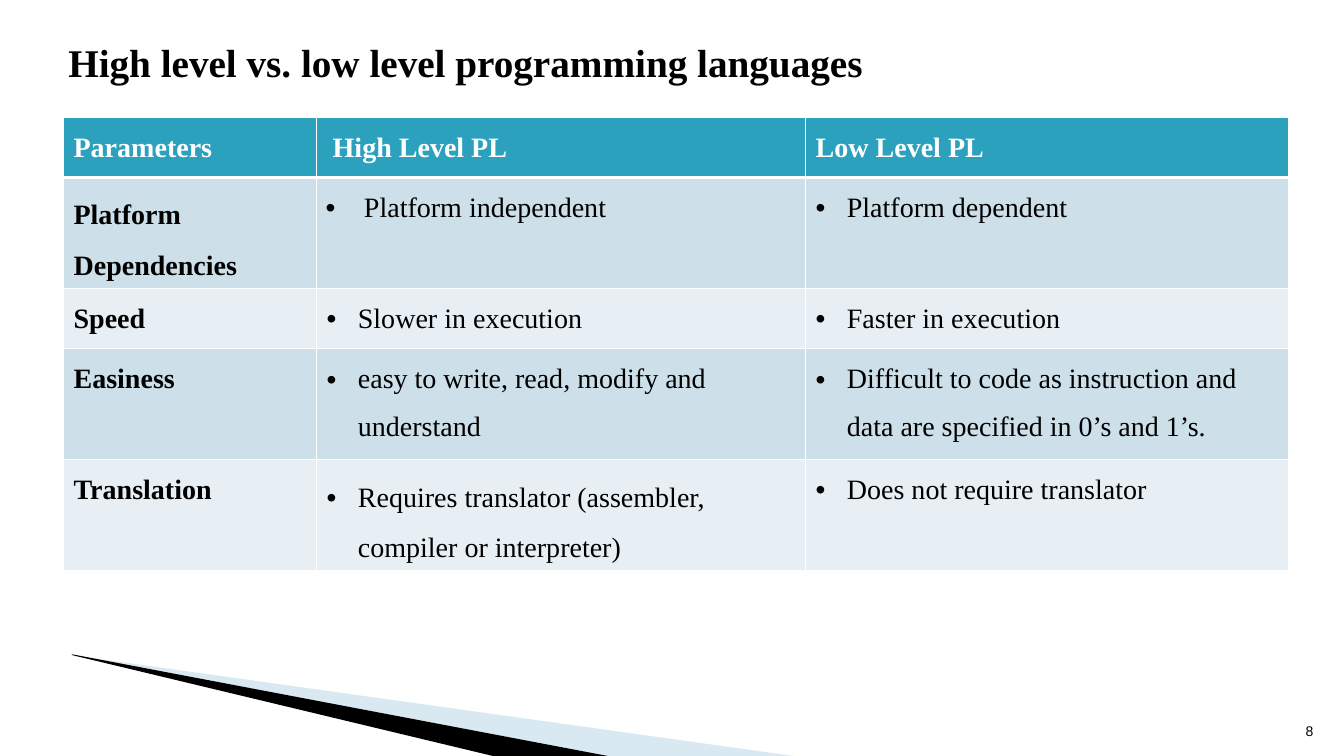
from lxml import etree
from pptx import Presentation
from pptx.dml.color import RGBColor
from pptx.enum.text import MSO_AUTO_SIZE
from pptx.oxml.ns import qn
from pptx.util import Inches, Pt

FIT_SHAPE = MSO_AUTO_SIZE.SHAPE_TO_FIT_TEXT
SERIF, SANS = "Times New Roman", "Arial"
COLORS = {
    "white": "FFFFFF", "black": "000000", "header": "2CA1BE",
    "band_dark": "CDDFE8", "band_light": "E8EFF4", "wedge": "9FCADC",
}
COLUMNS = [2.51, 4.85, 4.79]
ROW_HEIGHTS = [0.6, 1.1, 0.6, 1.1, 1.1]
COMPARISON = [
    [["Parameters"], ["High Level PL"], ["Low Level PL"]],
    [["Platform Dependencies"], ["Platform independent"], ["Platform dependent"]],
    [["Speed"], ["Slower in execution"], ["Faster in execution"]],
    [["Easiness"], ["easy to write, read, modify and", "understand"],
     ["Difficult to code as instruction and", "data are specified in 0’s and 1’s."]],
    [["Translation"], ["Requires translator (assembler, compiler or interpreter)"],
     ["Does not require translator"]],
]
# Cells (row, column) that differ from the common indent or line pitch
INDENTS = {(0, 1): (0.16, 0), (1, 1): (0.47, -0.38)}
WIDE_PITCH = {(1, 0), (4, 1)}


class SlideBuilder:
    def __init__(self, slide):
        self.slide = slide

    def rgb(self, color):
        return RGBColor.from_string(COLORS[color])

    def run(self, paragraph, text, size, font=SERIF, color="black", bold=False):
        run = paragraph.add_run()
        run.text = text
        run.font.size, run.font.name, run.font.bold = Pt(size), font, bold
        run.font.color.rgb = self.rgb(color)

    def indent(self, paragraph, left, first, bullet=False):
        props = paragraph._p.get_or_add_pPr()
        props.set("marL", str(Inches(left)))
        props.set("indent", str(Inches(first)))
        if bullet:
            etree.SubElement(props, qn("a:buFont"), typeface=SANS)
            etree.SubElement(props, qn("a:buChar"), char="•")

    def wedge(self, contours, color, opacity=None):
        builder = None
        for contour in contours:
            (x, y), *rest = [(Inches(px), Inches(py)) for px, py in contour]
            if builder is None:
                builder = self.slide.shapes.build_freeform(x, y)
            else:
                builder.move_to(x, y)
            builder.add_line_segments(rest, close=True)
        shape = builder.convert_to_shape()
        shape.shadow.inherit = False
        shape.line.fill.background()
        shape.fill.solid()
        shape.fill.fore_color.rgb = self.rgb(color)
        if opacity is not None:
            tint = shape.fill._xPr.find(".//" + qn("a:srgbClr"))
            etree.SubElement(tint, qn("a:alpha"), val=str(opacity * 1000))

    def text(self, box, words, size, margins=None, **style):
        frame = self.slide.shapes.add_textbox(*map(Inches, box)).text_frame
        frame.word_wrap = True
        frame.auto_size = FIT_SHAPE
        if margins:
            (frame.margin_left, frame.margin_top,
             frame.margin_right, frame.margin_bottom) = map(Inches, margins)
        self.run(frame.paragraphs[0], words, size, **style)

    def borders(self, cell, row):
        props = cell._tc.get_or_add_tcPr()
        thick = {0: "lnB", 1: "lnT"}.get(row)
        for side in ("lnL", "lnR", "lnT", "lnB"):
            width = Pt(3 if side == thick else 1)
            line = etree.SubElement(props, qn("a:" + side), w=str(width))
            fill = etree.SubElement(line, qn("a:solidFill"))
            etree.SubElement(fill, qn("a:srgbClr"), val=COLORS["white"])

    def cell(self, cell, row, col, lines):
        header, wide = row == 0, (row, col) in WIDE_PITCH
        bulleted = not header and col > 0
        cell.margin_left = cell.margin_right = cell.margin_bottom = 0
        cell.margin_top = Inches(0.03 if wide else 0.15)
        self.borders(cell, row)
        band = "header" if header else "band_dark" if row % 2 else "band_light"
        cell.fill.solid()
        cell.fill.fore_color.rgb = self.rgb(band)
        left, first = INDENTS.get((row, col), (0.41, -0.31) if bulleted else (0.1, 0))
        frame = cell.text_frame
        for number, line in enumerate(lines):
            paragraph = frame.add_paragraph() if number else frame.paragraphs[0]
            paragraph.space_before = Pt(12 if number else 1.8 if wide else 10.7)
            if wide:
                paragraph.line_spacing = Pt(36)
            self.indent(paragraph, left, 0 if number else first,
                        bulleted and not number)
            self.run(paragraph, line, 20, color="white" if header else "black",
                     bold=not bulleted)

    def table(self, left, top, columns, heights, rows):
        table = self.slide.shapes.add_table(
            len(rows), len(columns), Inches(left), Inches(top),
            Inches(sum(columns)), Inches(sum(heights))).table
        for column, width in zip(table.columns, columns):
            column.width = Inches(width)
        for r, (height, entries) in enumerate(zip(heights, rows)):
            table.rows[r].height = Inches(height)
            for c, lines in enumerate(entries):
                self.cell(table.cell(r, c), r, c, lines)


def main():
    deck = Presentation()
    deck.slide_width, deck.slide_height = Inches(13.33), Inches(7.5)
    page = SlideBuilder(deck.slides.add_slide(deck.slide_layouts[6]))

    # Corner wedges
    page.wedge([[(0.85, 6.52), (6.03, 7.5), (7.87, 7.5)],
                [(0.73, 6.5), (0.73, 6.51), (0.85, 6.52)]], "wedge", opacity=40)
    page.wedge([[(0.71, 6.49), (0.72, 6.5), (4.89, 7.5), (6.03, 7.5)]], "black")

    # Comparison table
    page.table(0.63, 1.16, COLUMNS, ROW_HEIGHTS, COMPARISON)

    # Slide number and title
    page.text((12.94, 7.16, 0.12, 0.19), "8", 10, margins=(0.01, 0.01, 0, 0),
              font=SANS)
    page.text((0.58, 0.33, 8.17, 0.57),
              "High level vs. low level programming languages", 28, bold=True)

    deck.save("out.pptx")


if __name__ == "__main__":
    main()
